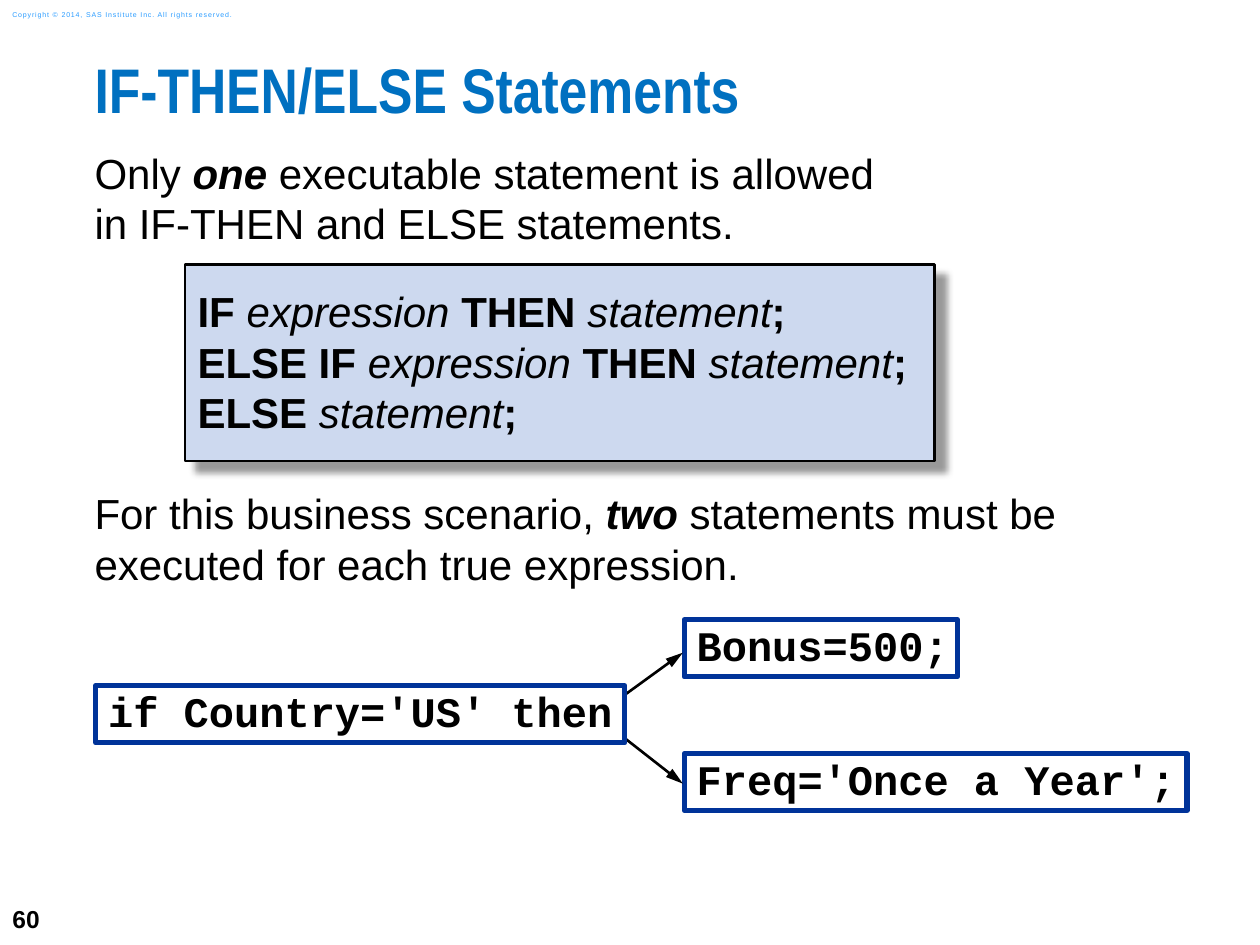
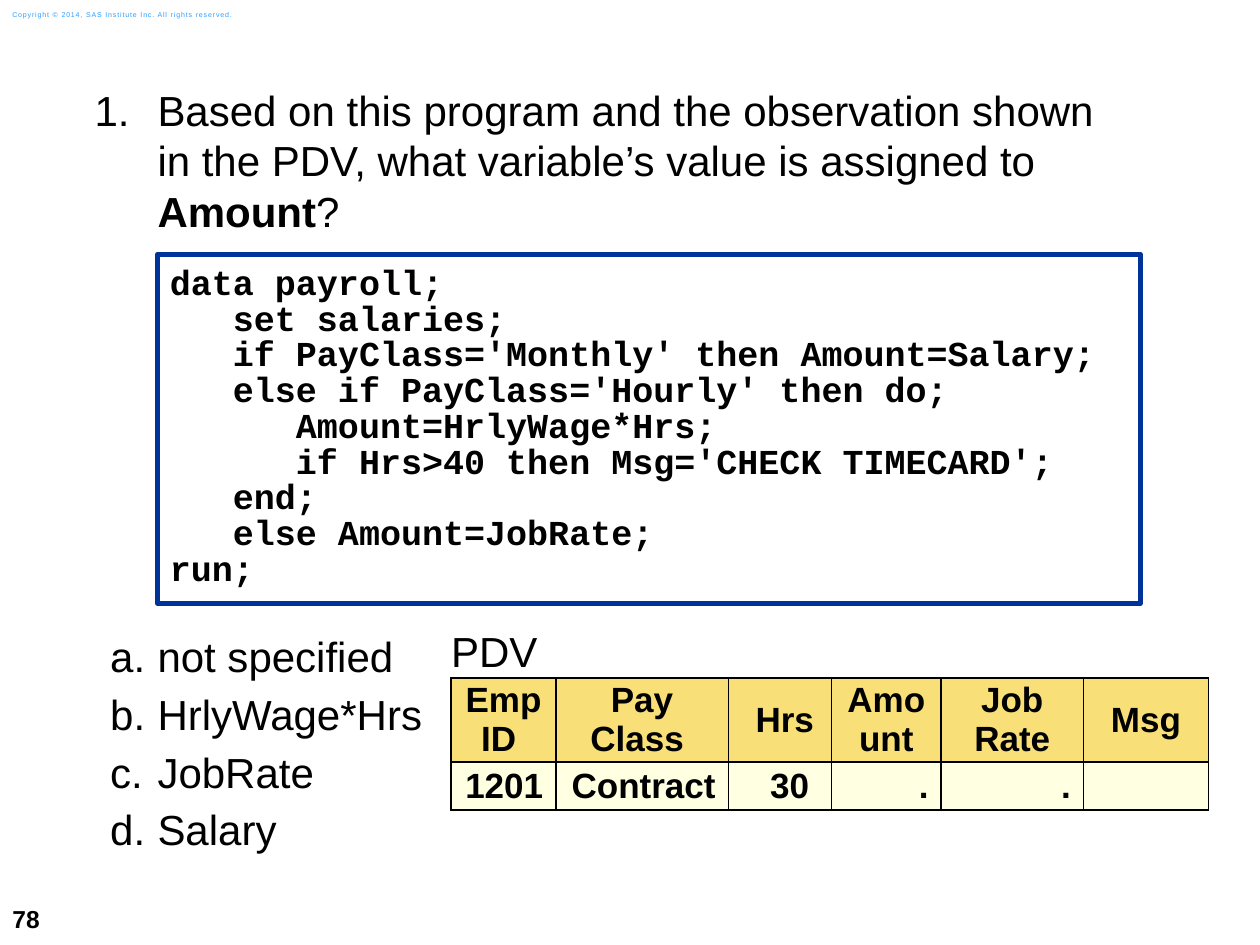
from dataclasses import dataclass
from typing import NamedTuple, Optional

from lxml.etree import SubElement
from pptx import Presentation
from pptx.dml.color import RGBColor
from pptx.enum.shapes import MSO_CONNECTOR as Connector, MSO_SHAPE as Preset
from pptx.enum.text import MSO_ANCHOR as Anchor, MSO_AUTO_SIZE as AutoSize, PP_ALIGN as Align
from pptx.oxml.ns import qn
from pptx.util import Pt

COLORS = {
    "title": "0070C0",
    "text": "000000",
    "copyright": "2A9CFF",
    "syntax": "CDD9EF",
    "code_line": "003399",
    "paper": "FFFFFF",
    "header": "F9DF78",
    "value": "FFFFE1",
}
SANS, NARROW, MONO = "Arial", "Arial Narrow", "Courier New"
COPYRIGHT = "Copyright © 2014, SAS Institute Inc. All rights reserved."
BODY_LINE, BODY_AFTER = 28.8, 4.3


class Run(NamedTuple):
    text: str
    style: str = ""


class Box(NamedTuple):
    left: float
    top: float
    width: float
    height: float

    def lengths(self) -> list:
        return [Pt(value) for value in self]


class Face(NamedTuple):
    size: float
    name: str = SANS
    color: str = "text"


@dataclass
class Item:
    runs: list
    before: float = 0
    level: int = 0
    margin: float = 0
    hanging: float = 0
    numbering: Optional[str] = None


@dataclass
class CodeBox:
    box: Box
    lines: list
    size: float = 24
    inset: float = 4.3


def rgb(key: str) -> RGBColor:
    return RGBColor.from_string(COLORS[key])


def write(paragraph, runs: list, face: Face) -> None:
    for text, style in runs:
        for index, part in enumerate(text.split("\n")):
            if index:
                paragraph.add_line_break()
            run = paragraph.add_run()
            run.text = part
            font = run.font
            font.name, font.size = face.name, Pt(face.size)
            font.color.rgb = rgb(face.color)
            font.bold, font.italic = "b" in style, "i" in style


def set_frame(frame, insets: tuple = (0, 0, 0, 0), anchor=Anchor.TOP) -> None:
    frame.word_wrap = True
    frame.auto_size = AutoSize.NONE
    frame.vertical_anchor = anchor
    (frame.margin_left, frame.margin_top,
     frame.margin_right, frame.margin_bottom) = map(Pt, insets)


def paragraphs(frame, count: int) -> list:
    return [frame.paragraphs[0]] + [frame.add_paragraph() for _ in range(count - 1)]


def place(placeholder, box: Box):
    (placeholder.left, placeholder.top,
     placeholder.width, placeholder.height) = box.lengths()
    set_frame(placeholder.text_frame)
    return placeholder.text_frame


def add_margin_text(slide, box: Box, run: Run, face: Face):
    frame = slide.shapes.add_textbox(*box.lengths()).text_frame
    set_frame(frame, (7.2, 3.6, 0, 3.6), Anchor.MIDDLE)
    write(frame.paragraphs[0], [run], face)
    return frame.paragraphs[0].runs[0]


def start_slide(deck, number: str):
    slide = deck.slides.add_slide(deck.slide_layouts[1])
    add_margin_text(slide, Box(0, 509.8, 41.8, 30.2), Run(number, "b"), Face(14))
    notice = add_margin_text(slide, Box(0, 2.2, 152, 12.2), Run(COPYRIGHT),
                             Face(4, color="copyright"))
    notice.font._element.set("spc", "50")
    return slide


def fill_title(slide, text: str) -> None:
    heading = place(slide.shapes.title, Box(54, 36, 666, 53.3)).paragraphs[0]
    heading.alignment = Align.LEFT
    heading.line_spacing = 0.83
    write(heading, [Run(text, "b")], Face(36, NARROW, "title"))


def fill_body(slide, box: Box, items: list) -> None:
    frame = place(slide.placeholders[1], box)
    for paragraph, item in zip(paragraphs(frame, len(items)), items):
        properties = paragraph._p.get_or_add_pPr()
        properties.set("marL", str(Pt(item.margin)))
        properties.set("indent", str(-Pt(item.hanging)))
        if item.numbering:
            SubElement(properties, qn("a:buFont"), typeface=SANS)
            SubElement(properties, qn("a:buAutoNum"), type=item.numbering)
        else:
            SubElement(properties, qn("a:buNone"))
        paragraph.level = item.level
        paragraph.line_spacing = Pt(BODY_LINE)
        paragraph.space_before = Pt(item.before)
        paragraph.space_after = Pt(BODY_AFTER)
        write(paragraph, item.runs, Face(24))


def add_panel(slide, box: Box, fill: str, line: str, weight: float):
    panel = slide.shapes.add_shape(Preset.RECTANGLE, *box.lengths())
    panel.shadow.inherit = False
    panel.fill.solid()
    panel.fill.fore_color.rgb = rgb(fill)
    panel.line.color.rgb = rgb(line)
    panel.line.width = Pt(weight)
    return panel


def write_panel(panel, insets: tuple, lines: list, face: Face, spacing: float) -> None:
    set_frame(panel.text_frame, insets)
    for paragraph, runs in zip(paragraphs(panel.text_frame, len(lines)), lines):
        paragraph.alignment = Align.LEFT
        paragraph.line_spacing = spacing
        write(paragraph, runs, face)


def add_code(slide, code: CodeBox) -> None:
    panel = add_panel(slide, code.box, "paper", "code_line", 3)
    write_panel(panel, (7.2, code.inset, 0, code.inset),
                [[Run(line, "b")] for line in code.lines], Face(code.size, MONO), 0.85)


def add_syntax(slide, box: Box, lines: list) -> None:
    panel = add_panel(slide, box, "syntax", "text", 1.5)
    effects = panel._element.spPr.find(qn("a:effectLst"))
    shadow = SubElement(effects, qn("a:outerShdw"), blurRad=str(Pt(4)), dist=str(Pt(8.5)),
                        dir="2700000", algn="tl", rotWithShape="0")
    tint = SubElement(shadow, qn("a:srgbClr"), val=COLORS["text"])
    SubElement(tint, qn("a:alpha"), val="40000")
    write_panel(panel, (7.2, 12.2, 7.2, 12.2), lines, Face(24), 1.0)


def add_arrow(slide, start: tuple, end: tuple) -> None:
    arrow = slide.shapes.add_connector(Connector.STRAIGHT, *map(Pt, start + end))
    arrow.line.color.rgb = rgb("text")
    arrow.line.width = Pt(1.5)
    SubElement(arrow.line._get_or_add_ln(), qn("a:tailEnd"), type="triangle", w="med", len="lg")
    SubElement(arrow._element.spPr, qn("a:effectLst"))


def style_cell(cell, fill: str, borders: dict) -> None:
    properties = cell._tc.get_or_add_tcPr()
    for side in "LRTB":
        edge = SubElement(properties, qn(f"a:ln{side}"), w=str(Pt(1)))
        paint = SubElement(edge, qn("a:solidFill"))
        SubElement(paint, qn("a:srgbClr"), val=COLORS[borders.get(side, "text")])
    cell.fill.solid()
    cell.fill.fore_color.rgb = rgb(fill)
    cell.vertical_anchor = Anchor.MIDDLE


def write_cell(cell, text: str, alignment, run_style: str, size: float, inset: float) -> None:
    cell.margin_left = cell.margin_right = Pt(inset)
    cell.margin_top = cell.margin_bottom = 0
    if not text:
        return
    lines = text.split("\n")
    for paragraph, line in zip(paragraphs(cell.text_frame, len(lines)), lines):
        paragraph.alignment = alignment
        write(paragraph, [Run(line, run_style)], Face(size))


def add_pdv(slide) -> None:
    widths = [59.8, 98.6, 59, 62.6, 81.4, 71.3]
    heights = [28.8, 48, 27.4]
    headers = ["Emp\nID ", "Pay\nClass ", " Hrs", "Amount", "Job\nRate", "Msg"]
    values = ["1201 ", "Contract ", "30 ", ".", ".", ""]
    box = Box(257.8, 358.6, sum(widths), sum(heights))
    pdv = slide.shapes.add_table(len(heights), len(widths), *box.lengths()).table
    pdv.first_row = pdv.horz_banding = False
    for column, width in zip(pdv.columns, widths):
        column.width = Pt(width)
    for row, height in zip(pdv.rows, heights):
        row.height = Pt(height)
    for column, (header, value) in enumerate(zip(headers, values)):
        style_cell(pdv.cell(0, column), "paper", dict.fromkeys("LRT", "paper"))
        style_cell(pdv.cell(1, column), "header", {})
        style_cell(pdv.cell(2, column), "value", {})
        write_cell(pdv.cell(1, column), header, Align.CENTER, "b", 20, 7.2)
        write_cell(pdv.cell(2, column), value, Align.RIGHT, "b", 20, 7.2)
    pdv.cell(0, 0).merge(pdv.cell(0, len(widths) - 1))
    write_cell(pdv.cell(0, 0), "PDV", Align.LEFT, "", 24, 0)


def build_statements(deck) -> None:
    slide = start_slide(deck, "60")
    fill_title(slide, "IF-THEN/ELSE Statements")
    fill_body(slide, Box(54, 84.2, 617.8, 263.5), [
        Item([Run("Only "), Run("one", "bi"),
              Run(" executable statement is allowed \nin IF-THEN and ELSE statements.")]),
        Item([Run("For this business scenario, "), Run("two", "bi"),
              Run(" statements must be executed for each true expression.")], before=132.6),
    ])
    expression, statement, end = Run("expression", "i"), Run("statement", "i"), Run(";", "b")
    condition = [expression, Run(" THEN ", "b"), statement, end]
    add_syntax(slide, Box(105.8, 151.2, 428.4, 112.3), [
        [Run("IF ", "b"), *condition],
        [Run("ELSE IF ", "b"), *condition],
        [Run("ELSE ", "b"), statement, end],
    ])
    add_code(slide, CodeBox(Box(391, 354.2, 156.2, 32.6), ["Bonus=500;"]))
    add_code(slide, CodeBox(Box(391, 430.6, 287.3, 32.6), ["Freq='Once a Year';"]))
    for target in (373, 447.8):
        add_arrow(slide, (340.6, 409), (390.2, target))
    add_code(slide, CodeBox(Box(54.7, 391.9, 302.4, 32.6), ["if Country='US' then"]))


def build_question(deck) -> None:
    slide = start_slide(deck, "78")
    title = slide.shapes.title._element
    title.getparent().remove(title)
    question = Item([Run("Based on this program and the observation shown \n"
                         "in the PDV, what variable’s value is assigned to "),
                     Run("Amount", "b"), Run("?")],
                    margin=36, hanging=36, numbering="arabicPeriod")
    answers = [Item([Run(answer)], before=0 if index else 221.2, level=1,
                    margin=36, hanging=27, numbering="alphaLcPeriod")
               for index, answer in enumerate(
                   ["not specified", "HrlyWage*Hrs", "JobRate", "Salary"])]
    fill_body(slide, Box(54, 48.2, 617.8, 468), [question, *answers])
    add_code(slide, CodeBox(Box(90, 145.4, 561.6, 199.4), [
        "data payroll;",
        "   set salaries;",
        "   if PayClass='Monthly' then Amount=Salary;",
        "   else if PayClass='Hourly' then do;",
        "      Amount=HrlyWage*Hrs;",
        "      if Hrs>40 then Msg='CHECK TIMECARD';",
        "   end;",
        "   else Amount=JobRate;",
        "run;",
    ], size=20, inset=7.2))
    add_pdv(slide)


def main() -> None:
    deck = Presentation()
    deck.slide_width, deck.slide_height = Pt(720), Pt(540)
    build_statements(deck)
    build_question(deck)
    deck.save("out.pptx")


if __name__ == "__main__":
    main()
